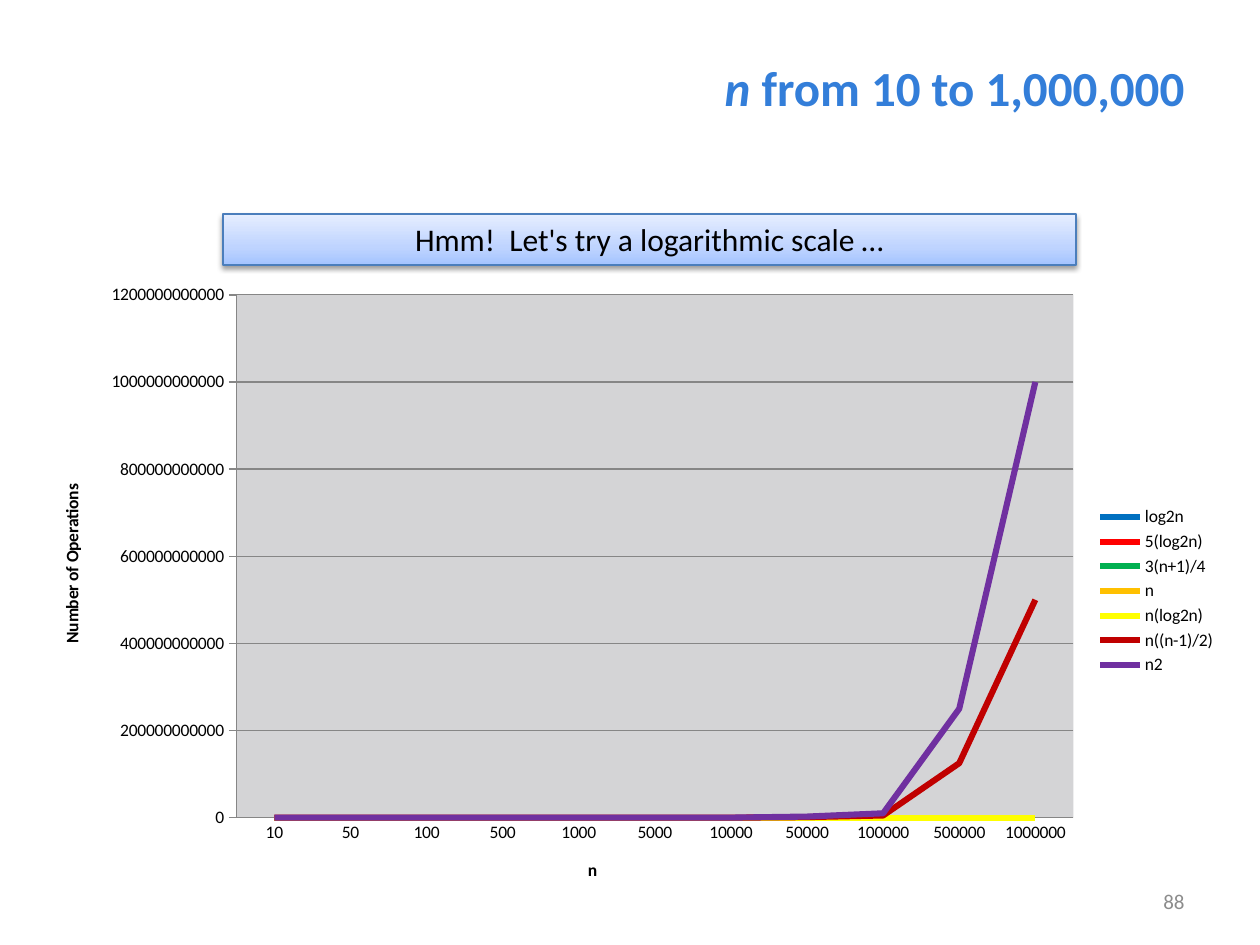
import pptx
import pptx.chart.data
import pptx.dml.color
import pptx.enum.chart
import pptx.enum.shapes
import pptx.enum.text
import pptx.oxml
import pptx.oxml.ns
import pptx.util

RGBColor = pptx.dml.color.RGBColor
ALIGN = pptx.enum.text.PP_ALIGN
ANCHOR = pptx.enum.text.MSO_ANCHOR
AUTO_SIZE = pptx.enum.text.MSO_AUTO_SIZE
TICK = pptx.enum.chart.XL_TICK_MARK

BLACK = RGBColor(0x00, 0x00, 0x00)
TITLE_BLUE = RGBColor(0x33, 0x7E, 0xD9)
NUMBER_GRAY = RGBColor(0x8C, 0x8C, 0x8C)
AXIS_GRAY = RGBColor(0x86, 0x86, 0x86)
PLOT_GRAY = RGBColor(0xD4, 0xD4, 0xD6)
BANNER_LINE = RGBColor(0x4B, 0x7E, 0xBC)
BANNER_STOPS = [
    (0, RGBColor(0xA4, 0xC4, 0xFF)),
    (35, RGBColor(0xBF, 0xD4, 0xFF)),
    (100, RGBColor(0xE6, 0xEE, 0xFF)),
]

SIZES = ["10", "50", "100", "500", "1000", "5000", "10000", "50000", "100000", "500000", "1000000"]
FLAT = [0] * len(SIZES)
GROWTH = [
    ("log2n", FLAT, RGBColor(0x00, 0x70, 0xC0)),
    ("5(log2n)", FLAT, RGBColor(0xFF, 0x00, 0x00)),
    ("3(n+1)/4", FLAT, RGBColor(0x00, 0xB0, 0x50)),
    ("n", FLAT, RGBColor(0xFF, 0xC0, 0x00)),
    ("n(log2n)", FLAT, RGBColor(0xFF, 0xFF, 0x00)),
    ("n((n-1)/2)", [0] * 7 + [1200000000, 5000000000, 125000000000, 500000000000],
     RGBColor(0xC0, 0x00, 0x00)),
    ("n2", [0] * 6 + [100000000, 2500000000, 10000000000, 250000000000, 1000000000000],
     RGBColor(0x70, 0x30, 0xA0)),
]


def px(length):
    """Turn pixels at 126 to the inch into EMU."""
    return round(length * 914400 / 126)


def apply(target, values):
    """Set each attribute of target from a dict."""
    for name, value in values.items():
        setattr(target, name, value)


def xml(prefixes, body):
    """Make an element from body, declaring the given namespaces on its root."""
    tag, rest = body.split(" ", 1)
    return pptx.oxml.parse_xml(f"{tag} {pptx.oxml.ns.nsdecls(*prefixes)} {rest}")


class SlideBuilder:
    """Holds the text style and the current slide."""

    font_name = "Calibri"

    def __init__(self, presentation):
        self.slide = presentation.slides.add_slide(presentation.slide_layouts[5])

    def style(self, font, size, color, **more):
        """Format a font in the slide's typeface."""
        apply(font, {"name": self.font_name, "size": pptx.util.Pt(size), **more})
        font.color.rgb = color

    def put_text(self, shape, runs, size, color, align, **frame):
        """Put one paragraph of (text, format) runs into a shape."""
        apply(shape.text_frame, {"word_wrap": True, "vertical_anchor": ANCHOR.MIDDLE, **frame})
        paragraph = shape.text_frame.paragraphs[0]
        paragraph.alignment = align
        for text, more in runs:
            run = paragraph.add_run()
            run.text = text
            self.style(run.font, size, color, **more)

    def title(self, left, top, width, height, runs):
        """Place and fill the title placeholder."""
        shape = self.slide.shapes.title
        apply(shape, {"left": px(left), "top": px(top), "width": px(width), "height": px(height)})
        self.put_text(shape, runs, 28, TITLE_BLUE, ALIGN.RIGHT, auto_size=AUTO_SIZE.NONE)

    def number(self, left, top, width, height, text):
        """Add the slide number."""
        shape = self.slide.shapes.add_textbox(px(left), px(top), px(width), px(height))
        self.put_text(shape, [(text, {})], 12, NUMBER_GRAY, ALIGN.RIGHT)

    def banner(self, left, top, width, height, text):
        """Add a gradient box with a soft shadow."""
        shape = self.slide.shapes.add_shape(
            pptx.enum.shapes.MSO_SHAPE.RECTANGLE, px(left), px(top), px(width), px(height))
        stops = "".join(
            f'<a:gs pos="{position * 1000}"><a:srgbClr val="{color}"/></a:gs>'
            for position, color in BANNER_STOPS)
        shape.fill.gradient()
        shape.fill.gradient_angle = 90
        gradient = shape._element.spPr.find(pptx.oxml.ns.qn("a:gradFill"))
        gradient.replace(gradient[0], xml(["a"], f"<a:gsLst >{stops}</a:gsLst>"))
        shape.line.color.rgb = BANNER_LINE
        shape.line.width = pptx.util.Pt(0.75)
        shape.shadow.inherit = False
        effects = shape._element.spPr.find(pptx.oxml.ns.qn("a:effectLst"))
        effects.append(xml(["a"], (
            f'<a:outerShdw blurRad="{pptx.util.Pt(3.1)}" dist="{pptx.util.Pt(1.6)}" dir="5400000" '
            'rotWithShape="0"><a:srgbClr val="000000"><a:alpha val="38000"/></a:srgbClr></a:outerShdw>')))
        self.put_text(shape, [(text, {})], 18, BLACK, ALIGN.CENTER,
                      vertical_anchor=ANCHOR.TOP, auto_size=AUTO_SIZE.SHAPE_TO_FIT_TEXT)

    def axis(self, axis, title, **values):
        """Format a chart axis and its title."""
        apply(axis, {"has_title": True, "minor_tick_mark": TICK.NONE, **values})
        axis.format.line.color.rgb = AXIS_GRAY
        axis.axis_title.text_frame.text = title
        run = axis.axis_title.text_frame.paragraphs[0].runs[0]
        self.style(run.font, 10, BLACK, bold=True)

    def line_chart(self, left, top, width, height, categories, series):
        """Add a line chart with a legend on the right."""
        data = pptx.chart.data.CategoryChartData(number_format="0")
        data.categories = categories
        for name, values, _ in series:
            data.add_series(name, values)
        chart = self.slide.shapes.add_chart(
            pptx.enum.chart.XL_CHART_TYPE.LINE,
            px(left), px(top), px(width), px(height), data).chart
        apply(chart, {"has_title": False, "has_legend": True})
        apply(chart.legend, {"position": pptx.enum.chart.XL_LEGEND_POSITION.RIGHT,
                             "include_in_layout": False})
        self.style(chart.font, 10, BLACK)
        self.axis(chart.category_axis, "n", major_tick_mark=TICK.NONE)
        self.axis(chart.value_axis, "Number of Operations", major_tick_mark=TICK.OUTSIDE,
                  has_major_gridlines=True, minimum_scale=0, maximum_scale=1200000000000,
                  major_unit=200000000000)
        apply(chart.value_axis.tick_labels, {"number_format": "0", "number_format_is_linked": False})
        chart.value_axis.major_gridlines.format.line.color.rgb = AXIS_GRAY
        chart.plots[0].vary_by_categories = False
        for line, (_, _, color) in zip(chart.plots[0].series, series):
            line.smooth = False
            line.marker.style = pptx.enum.chart.XL_MARKER_STYLE.NONE
            line.format.line.color.rgb = color
            line.format.line.width = pptx.util.Pt(3.5)
        self.plot_area(chart)

    def plot_area(self, chart):
        """Fix the inner plot area and fill it."""
        area = chart._chartSpace.chart.plotArea
        for layout in area.findall(pptx.oxml.ns.qn("c:layout")):
            area.remove(layout)
        place = "".join(f'<c:{name} val="{value}"/>' for name, value in (
            ("layoutTarget", "inner"), ("xMode", "edge"), ("yMode", "edge"),
            ("x", 0.17), ("y", 0.03), ("w", 0.7), ("h", 0.83)))
        area.insert(0, xml(["c"], f"<c:layout ><c:manualLayout>{place}</c:manualLayout></c:layout>"))
        area.append(xml(["c", "a"], (
            f'<c:spPr ><a:solidFill><a:srgbClr val="{PLOT_GRAY}"/></a:solidFill></c:spPr>')))


def main():
    """Build and save the slide."""
    presentation = pptx.Presentation()
    apply(presentation, {"slide_width": px(1260), "slide_height": px(945)})
    builder = SlideBuilder(presentation)
    builder.title(203, 48, 994, 77, [
        ("n", {"bold": True, "italic": True}),
        (" from 10 to 1,000,000", {"bold": True, "italic": False}),
    ])
    builder.number(903, 876, 294, 50, "88")
    builder.banner(223, 214, 853, 51, "Hmm!  Let's try a logarithmic scale …")
    builder.line_chart(33, 276, 1196, 630, SIZES, GROWTH)
    presentation.save("out.pptx")


if __name__ == "__main__":
    main()
